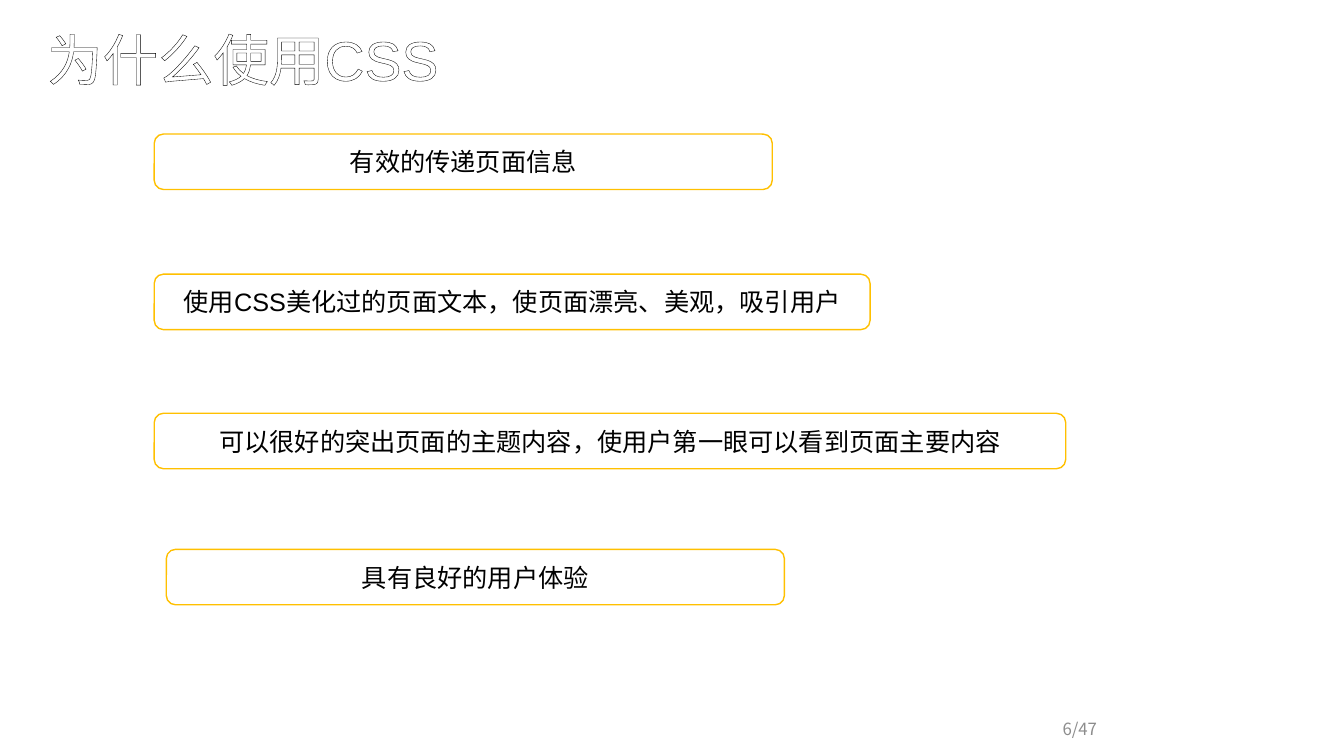
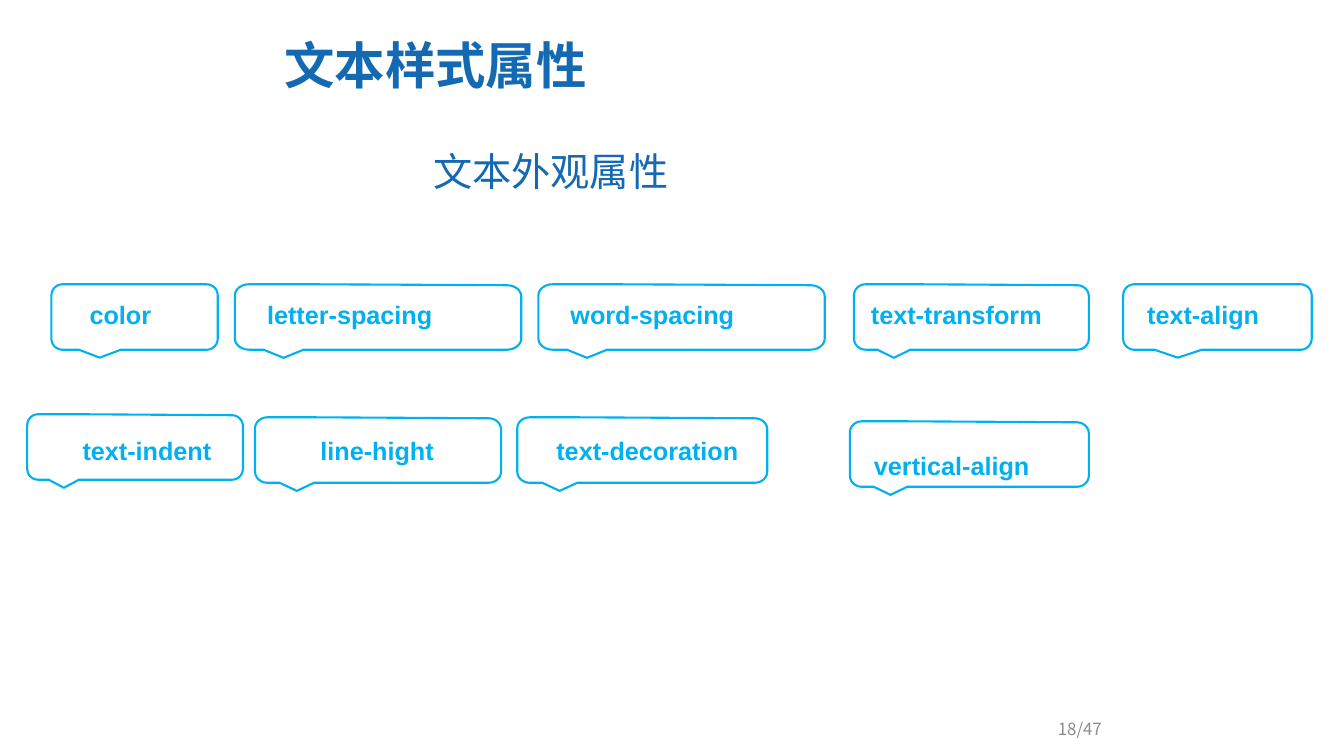
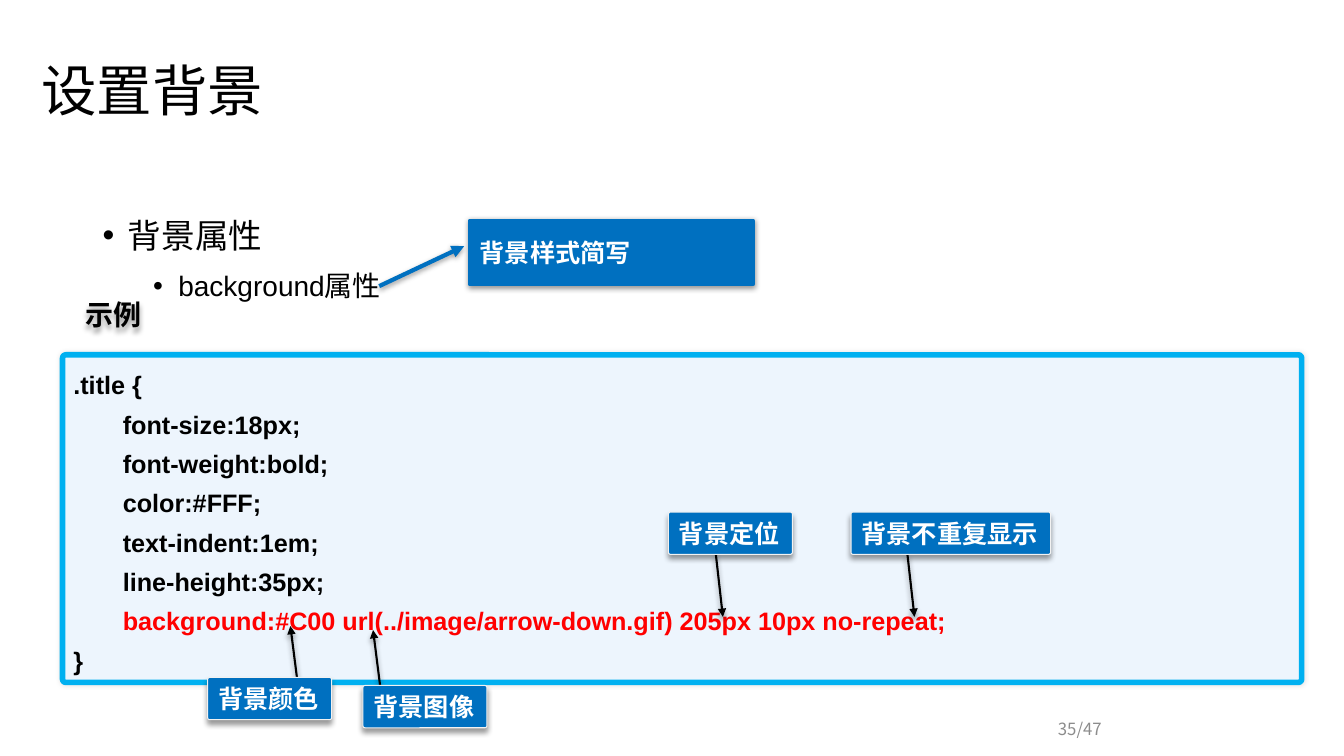
from dataclasses import dataclass
from math import cos, radians, sin

from lxml.etree import SubElement
from pptx import Presentation
from pptx.dml.color import RGBColor
from pptx.enum.shapes import MSO_CONNECTOR, MSO_SHAPE
from pptx.enum.text import MSO_ANCHOR, PP_ALIGN
from pptx.oxml.ns import qn
from pptx.util import Inches, Pt

COLORS = {
    "black": "000000",
    "white": "FFFFFF",
    "gold": "FFC000",
    "title_blue": "1369B2",
    "sky": "00B0F0",
    "tag_blue": "0070C0",
    "tag_edge": "F2F2F2",
    "code_fill": "EDF5FD",
    "red": "FF0000",
    "grey": "8C8C8C",
}
LATIN = "Arial"
CHINESE = "Noto Sans CJK SC"
PAGE_TOTAL = 47
BUBBLE_HEIGHT = 0.65


@dataclass(frozen=True)
class Box:
    left: float
    top: float
    width: float
    height: float

    def lengths(self):
        return [Inches(value) for value in (self.left, self.top, self.width, self.height)]


@dataclass(frozen=True)
class Style:
    size: float
    color: str = "black"
    font: str = LATIN
    bold: bool = False
    spacing: float = 1.0
    align: PP_ALIGN = PP_ALIGN.LEFT


@dataclass(frozen=True)
class Shadow:
    alpha: int
    blur: float
    distance: float
    angle: int


@dataclass(frozen=True)
class Reason:
    left: float
    top: float
    width: float
    text: str


@dataclass(frozen=True)
class Bubble:
    left: float
    top: float
    width: float
    label: Box
    text: str
    preset: bool = False
    spacing: float = 1.0


@dataclass(frozen=True)
class Tag:
    left: float
    top: float
    width: float
    text: str
    arrow_start: tuple[float, float]
    arrow_end: tuple[float, float]


DROP = Shadow(40, 4, 3, 90)
HEADING = Style(39.6, spacing=1.2)
PAGE_NUMBER = Style(12, "grey", CHINESE, spacing=1.2, align=PP_ALIGN.CENTER)
TAG_TEXT = Style(18, "white", bold=True)
CODE_TEXT = Style(18, bold=True, spacing=1.3)

REASONS = [
    Reason(1.53, 1.33, 6.13, "有效的传递页面信息"),
    Reason(1.53, 2.72, 7.1, "使用CSS美化过的页面文本，使页面漂亮、美观，吸引用户"),
    Reason(1.53, 4.1, 9.04, "可以很好的突出页面的主题内容，使用户第一眼可以看到页面主要内容"),
    Reason(1.65, 5.45, 6.13, "具有良好的用户体验"),
]
BUBBLES = [
    Bubble(0.51, 2.82, 1.65, Box(0.79, 2.92, 0.84, 0.4), "color", True),
    Bubble(2.33, 2.82, 2.84, Box(2.55, 2.92, 1.88, 0.4), "letter-spacing"),
    Bubble(5.34, 2.82, 2.84, Box(5.56, 2.92, 1.86, 0.4), "word-spacing"),
    Bubble(8.47, 2.82, 2.33, Box(8.54, 2.92, 1.94, 0.4), "text-transform"),
    Bubble(11.14, 2.82, 1.87, Box(11.28, 2.92, 1.34, 0.4), "text-align", True),
    Bubble(0.27, 4.11, 2.14, Box(0.72, 4.27, 1.52, 0.4), "text-indent"),
    Bubble(2.53, 4.14, 2.44, Box(3.08, 4.27, 1.36, 0.4), "line-hight"),
    Bubble(5.13, 4.14, 2.48, Box(5.42, 4.27, 2.06, 0.4), "text-decoration"),
    Bubble(8.43, 4.18, 2.37, Box(8.57, 4.27, 1.87, 0.55), "vertical-align", spacing=1.5),
]
TAGS = [
    Tag(2.06, 6.72, 1.23, "背景颜色", (2.95, 6.76), (2.88, 6.21)),
    Tag(3.6, 6.8, 1.23, "背景图像", (3.77, 6.8), (3.7, 6.25)),
    Tag(6.63, 5.08, 1.23, "背景定位", (7.1, 5.5), (7.17, 6.12)),
    Tag(8.44, 5.08, 1.98, "背景不重复显示", (9, 5.5), (9.07, 6.12)),
]
DECLARATIONS = [
    "font-size:18px;",
    "font-weight:bold;",
    "color:#FFF;",
    "text-indent:1em;",
    "line-height:35px;",
]
BACKGROUND_RULE = "background:#C00 url(../image/arrow-down.gif) 205px 10px no-repeat;"


def rgb(name: str) -> RGBColor:
    return RGBColor.from_string(COLORS[name])


def add_effects(shape, shadow: Shadow | None) -> None:
    effects = SubElement(shape._element.spPr, qn("a:effectLst"))
    if shadow:
        outer = SubElement(
            effects, qn("a:outerShdw"), blurRad=str(Pt(shadow.blur)), dist=str(Pt(shadow.distance)),
            dir=str(shadow.angle * 60000), algn="ctr", rotWithShape="0",
        )
        color = SubElement(outer, qn("a:srgbClr"), val=COLORS["black"])
        SubElement(color, qn("a:alpha"), val=str(shadow.alpha * 1000))


def add_run(paragraph, text: str, style: Style):
    run = paragraph.add_run()
    run.text = text
    run.font.size = Pt(style.size)
    run.font.bold = style.bold
    run.font.name = style.font
    run.font.color.rgb = rgb(style.color)
    SubElement(run._r.get_or_add_rPr(), qn("a:ea"), typeface=CHINESE)
    paragraph.line_spacing = style.spacing
    paragraph.alignment = style.align
    return run


def set_indent(paragraph, left: float, first: float = 0) -> None:
    properties = paragraph._p.get_or_add_pPr()
    properties.set("marL", str(Inches(left)))
    properties.set("indent", str(Inches(first)))


def add_bullet(paragraph) -> None:
    properties = paragraph._p.get_or_add_pPr()
    SubElement(properties, qn("a:buFont"), typeface=LATIN)
    SubElement(properties, qn("a:buChar"), char="•")


def add_text(slide, box: Box, text: str, style: Style, anchor=MSO_ANCHOR.TOP, wrap: bool = True):
    shape = slide.shapes.add_textbox(*box.lengths())
    shape.text_frame.word_wrap = wrap
    shape.text_frame.vertical_anchor = anchor
    add_run(shape.text_frame.paragraphs[0], text, style)
    return shape


def style_shape(shape, fill: str | None, line: str, width: float, shadow: Shadow | None = None):
    if fill:
        shape.fill.solid()
        shape.fill.fore_color.rgb = rgb(fill)
    else:
        shape.fill.background()
    shape.line.color.rgb = rgb(line)
    shape.line.width = Pt(width)
    if shadow:
        add_effects(shape, shadow)
    else:
        shape.shadow.inherit = False


def add_heading(slide, box: Box, text: str, style: Style = HEADING):
    return add_text(slide, box, text, style, MSO_ANCHOR.MIDDLE)


def add_slide(presentation, page: int):
    slide = presentation.slides.add_slide(presentation.slide_layouts[6])
    add_text(slide, Box(10.07, 7.01, 1.28, 0.4), f"{page}/{PAGE_TOTAL}", PAGE_NUMBER, MSO_ANCHOR.MIDDLE)
    return slide


def add_reason(slide, reason: Reason) -> None:
    box = Box(reason.left, reason.top, reason.width, 0.55)
    shape = slide.shapes.add_shape(MSO_SHAPE.FLOWCHART_ALTERNATE_PROCESS, *box.lengths())
    style_shape(shape, "white", "gold", 1)
    shape.text_frame.word_wrap = True
    shape.text_frame.vertical_anchor = MSO_ANCHOR.MIDDLE
    add_run(shape.text_frame.paragraphs[0], reason.text, Style(18, align=PP_ALIGN.CENTER))


def bubble_outline(bubble: Bubble) -> list[tuple[int, int]]:
    width, height, dip = bubble.width, BUBBLE_HEIGHT, 0.01
    radius_x, radius_y = 0.05 * width, 0.11

    def corner(center_x: float, center_y: float, start: int) -> list[tuple[float, float]]:
        return [
            (center_x + radius_x * cos(radians(angle)), center_y + radius_y * sin(radians(angle)))
            for angle in range(start, start + 91, 15)
        ]

    points = [
        *corner(radius_x, radius_y, 180),
        (0.24 * width, 0),
        *corner(width - radius_x, radius_y + dip, 270),
        *corner(width - radius_x, height - radius_y, 0),
        (0.24 * width, height),
        (0.17 * width, height + 0.08),
        (0.1 * width, height),
        *corner(radius_x, height - radius_y, 90),
    ]
    return [(Inches(bubble.left + x), Inches(bubble.top + y)) for x, y in points]


def add_bubble(slide, bubble: Bubble) -> None:
    if bubble.preset:
        box = Box(bubble.left, bubble.top, bubble.width, BUBBLE_HEIGHT)
        shape = slide.shapes.add_shape(MSO_SHAPE.ROUNDED_RECTANGULAR_CALLOUT, *box.lengths())
        for index, value in enumerate((-0.21, 0.62, 0.17)):
            shape.adjustments[index] = value
    else:
        start, *others = bubble_outline(bubble)
        builder = slide.shapes.build_freeform(*start)
        builder.add_line_segments(others, close=True)
        shape = builder.convert_to_shape()
    style_shape(shape, None, "sky", 1.5)
    add_text(slide, bubble.label, bubble.text, Style(18, "sky", bold=True, spacing=bubble.spacing))


def add_arrow(slide, start: tuple[float, float], end: tuple[float, float]) -> None:
    points = [Inches(value) for value in (*start, *end)]
    connector = slide.shapes.add_connector(MSO_CONNECTOR.STRAIGHT, *points)
    connector.line.color.rgb = rgb("black")
    connector.line.width = Pt(1.5)
    SubElement(connector.line._get_or_add_ln(), qn("a:tailEnd"), type="triangle")
    add_effects(connector, DROP)


def add_tag(slide, tag: Tag) -> None:
    add_arrow(slide, tag.arrow_start, tag.arrow_end)
    box = Box(tag.left, tag.top, tag.width, 0.42)
    shape = slide.shapes.add_shape(MSO_SHAPE.ROUNDED_RECTANGLE, *box.lengths())
    shape.adjustments[0] = 0.05
    style_shape(shape, "tag_blue", "tag_edge", 0.75, DROP)
    shape.text_frame.word_wrap = False
    shape.text_frame.vertical_anchor = MSO_ANCHOR.MIDDLE
    add_run(shape.text_frame.paragraphs[0], tag.text, TAG_TEXT)


def add_code(slide) -> None:
    shape = slide.shapes.add_shape(MSO_SHAPE.ROUNDED_RECTANGLE, *Box(0.62, 3.52, 12.29, 3.25).lengths())
    shape.adjustments[0] = 0.01
    style_shape(shape, "code_fill", "sky", 4, Shadow(10, 3, 0, 0))
    frame = shape.text_frame
    frame.word_wrap = True
    frame.vertical_anchor = MSO_ANCHOR.TOP
    add_run(frame.paragraphs[0], ".title {", CODE_TEXT)
    for declaration in DECLARATIONS:
        paragraph = frame.add_paragraph()
        add_run(paragraph, declaration, CODE_TEXT)
        set_indent(paragraph, 0.49)
    paragraph = frame.add_paragraph()
    add_run(paragraph, BACKGROUND_RULE, Style(18, "red", bold=True, spacing=1.3))
    set_indent(paragraph, 0.49)
    add_run(frame.add_paragraph(), "}", CODE_TEXT)


def add_shorthand_callout(slide) -> None:
    shape = slide.shapes.add_shape(MSO_SHAPE.LINE_CALLOUT_1, *Box(4.66, 2.19, 2.81, 0.63).lengths())
    for index, value in enumerate((0.4, -0.02, 1.03, -0.32)):
        shape.adjustments[index] = value
    style_shape(shape, "tag_blue", "tag_blue", 3, Shadow(40, 4, 1, 90))
    SubElement(shape.line._get_or_add_ln(), qn("a:headEnd"), type="triangle")
    shape.text_frame.word_wrap = True
    shape.text_frame.vertical_anchor = MSO_ANCHOR.MIDDLE
    add_run(shape.text_frame.paragraphs[0], "背景样式简写", TAG_TEXT)


def build_reasons(presentation) -> None:
    slide = add_slide(presentation, 6)
    heading = add_heading(
        slide, Box(0.37, 0.23, 4.96, 0.57), "为什么使用CSS", Style(39.6, "white", spacing=1.2)
    )
    properties = heading.text_frame.paragraphs[0].runs[0]._r.get_or_add_rPr()
    outline = SubElement(properties, qn("a:ln"), w=str(Pt(0.8)))
    SubElement(SubElement(outline, qn("a:solidFill")), qn("a:srgbClr"), val=COLORS["black"])
    properties.insert(0, outline)
    for reason in REASONS:
        add_reason(slide, reason)


def build_text_properties(presentation) -> None:
    slide = add_slide(presentation, 18)
    heading = add_heading(
        slide, Box(2.5, 0.22, 7.51, 0.84), "文本样式属性", Style(36, "title_blue", CHINESE, True)
    )
    set_indent(heading.text_frame.paragraphs[0], 0.22)
    add_text(
        slide, Box(4.2, 1.18, 8.76, 0.81), "文本外观属性", Style(28, "title_blue", CHINESE, spacing=1.5)
    )
    for bubble in BUBBLES:
        add_bubble(slide, bubble)


def build_background(presentation) -> None:
    slide = add_slide(presentation, 35)
    add_heading(slide, Box(0.31, 0.54, 2.66, 0.57), "设置背景")
    body = add_text(slide, Box(0.92, 2, 11.5, 4.76), "背景属性", Style(24, spacing=1.2))
    topic = body.text_frame.paragraphs[0]
    detail = body.text_frame.add_paragraph()
    detail.level = 1
    add_run(detail, "background属性", Style(20, spacing=1.2))
    for paragraph, left, space in ((topic, 0.25, 10), (detail, 0.75, 5)):
        paragraph.space_before = Pt(space)
        set_indent(paragraph, left, -0.25)
        add_bullet(paragraph)
    example = add_text(
        slide, Box(0.75, 2.9, 0.77, 0.44), "示例", Style(20, font=CHINESE, bold=True),
        MSO_ANCHOR.MIDDLE, wrap=False,
    )
    add_effects(example, DROP)
    add_code(slide)
    add_shorthand_callout(slide)
    for tag in TAGS:
        add_tag(slide, tag)


def main() -> None:
    presentation = Presentation()
    presentation.slide_width = Inches(13.33)
    presentation.slide_height = Inches(7.5)
    build_reasons(presentation)
    build_text_properties(presentation)
    build_background(presentation)
    presentation.save("out.pptx")


if __name__ == "__main__":
    main()
